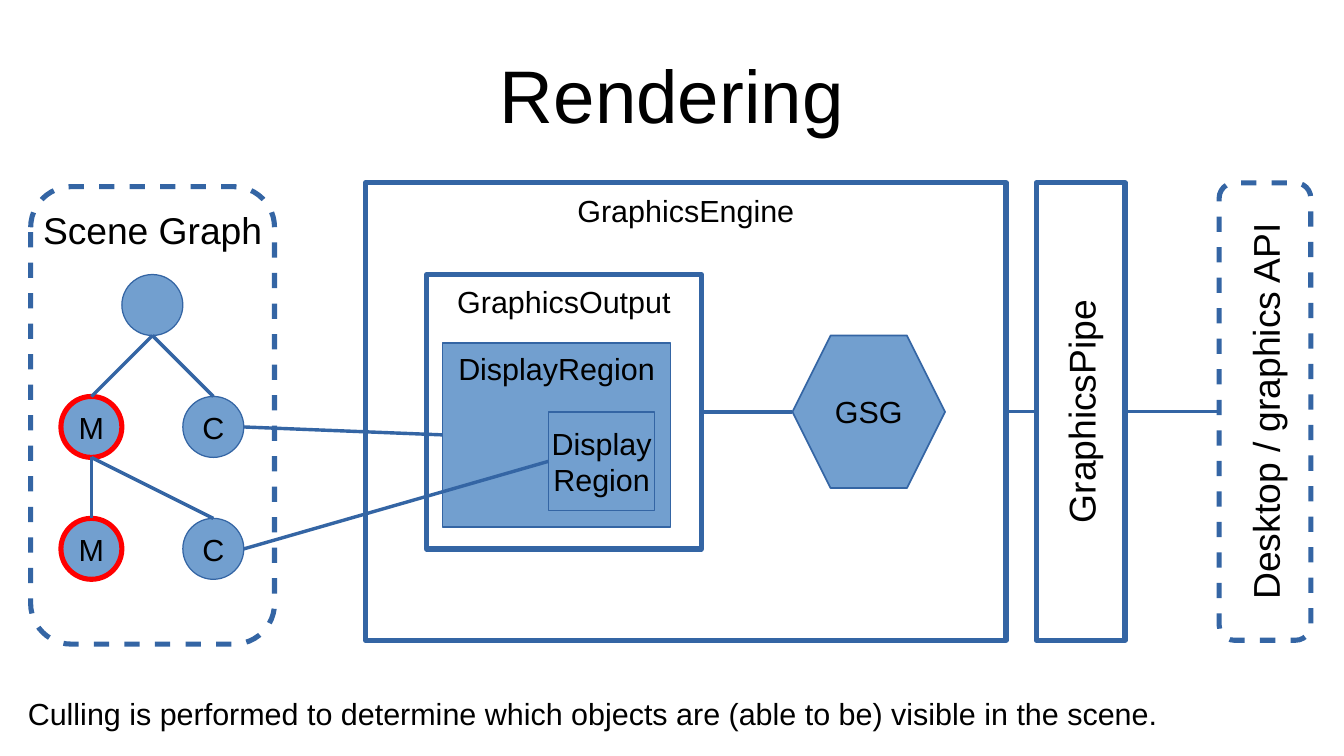
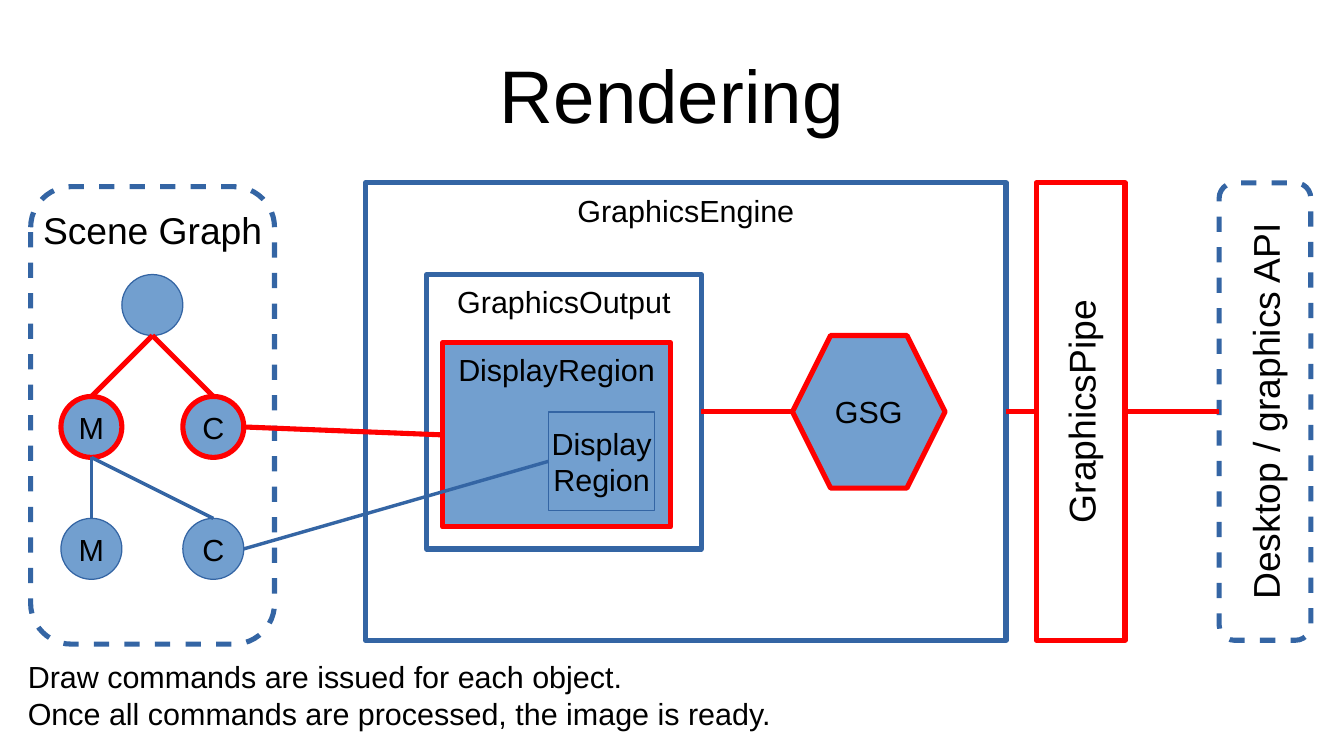
from dataclasses import dataclass

from lxml.etree import SubElement
from pptx import Presentation
from pptx.dml.color import RGBColor
from pptx.enum.shapes import MSO_CONNECTOR, MSO_SHAPE as Preset
from pptx.enum.text import MSO_ANCHOR as Anchor, MSO_AUTO_SIZE, PP_ALIGN as Align
from pptx.oxml.ns import qn
from pptx.util import Cm, Pt


@dataclass(frozen=True)
class Theme:
    font: str = "Arial"
    ink: RGBColor = RGBColor(0x00, 0x00, 0x00)
    paper: RGBColor = RGBColor(0xFF, 0xFF, 0xFF)
    blue: RGBColor = RGBColor(0x72, 0x9F, 0xCF)
    outline: RGBColor = RGBColor(0x34, 0x65, 0xA4)
    active: RGBColor = RGBColor(0xFF, 0x00, 0x00)
    title_size: int = 44
    heading_size: int = 22
    label_size: int = 18
    heavy: int = 3
    thin: int = 1
    hairline: int = 0


THEME = Theme()
TOP, LEFT, BOTTOM, RIGHT = range(4)
SIDE_POINT = {TOP: (0.5, 0), LEFT: (0, 0.5), BOTTOM: (0.5, 1), RIGHT: (1, 0.5)}
NOT_JOINED = (Preset.OVAL, Preset.HEXAGON)


def write_text(frame, text, *, size=THEME.label_size, align=Align.CENTER,
               anchor=Anchor.MIDDLE, margins=(0, 0), wrap=False):
    frame.auto_size = MSO_AUTO_SIZE.NONE
    frame.word_wrap = wrap
    frame.vertical_anchor = anchor
    frame.margin_left = frame.margin_right = margins[0]
    frame.margin_top = frame.margin_bottom = margins[1]
    frame.text = text
    for paragraph in frame.paragraphs:
        paragraph.alignment = align
        paragraph.font.name = THEME.font
        paragraph.font.size = Pt(size)
        paragraph.font.color.rgb = THEME.ink


class Deck:
    def __init__(self, theme):
        self.theme = theme
        self.show = Presentation()
        self.show.slide_width, self.show.slide_height = Cm(28), Cm(15.75)
        self.slide = None

    def new_slide(self, heading):
        self.slide = self.show.slides.add_slide(self.show.slide_layouts[5])
        title = self.slide.shapes.title
        title.left, title.top = Cm(1.4), Cm(0.63)
        title.width, title.height = Cm(25.2), Cm(2.64)
        write_text(title.text_frame, heading, size=self.theme.title_size, wrap=True)

    def box(self, preset, place, text="", *, fill, weight, active=False,
            dashed=False, upright=False, **text_format):
        shape = self.slide.shapes.add_shape(preset, *map(Cm, place))
        shape.shadow.inherit = False
        shape.fill.solid()
        shape.fill.fore_color.rgb = fill
        weight = self.theme.heavy if active else weight
        self.stroke(shape.line, weight, active)
        if dashed:
            dash = SubElement(shape.element.spPr.find(qn("a:ln")), qn("a:custDash"))
            SubElement(dash, qn("a:ds"), d="300000", sp="300000")
        if text:
            # Text keeps clear of the inner half of the outline
            margins = [Cm(gap) + Pt(weight) // 2 for gap in (0.25, 0.13)]
            write_text(shape.text_frame, text, margins=margins, wrap=upright, **text_format)
        if upright:
            shape.element.txBody.bodyPr.set("vert", "vert270")
        return shape

    def link(self, start, start_side, end, end_side, active=False):
        ends = []
        for shape, side in ((start, start_side), (end, end_side)):
            across, down = SIDE_POINT[side]
            ends += [int(shape.left + across * shape.width),
                     int(shape.top + down * shape.height)]
        line = self.slide.shapes.add_connector(MSO_CONNECTOR.STRAIGHT, *ends)
        if start.auto_shape_type not in NOT_JOINED:
            line.begin_connect(start, start_side)
        if end.auto_shape_type not in NOT_JOINED:
            line.end_connect(end, end_side)
        self.stroke(line.line, self.theme.heavy if active else self.theme.hairline, active)
        SubElement(line.element.spPr, qn("a:effectLst"))

    def stroke(self, line, weight, active):
        line.color.rgb = self.theme.active if active else self.theme.outline
        line.width = Pt(weight)

    def caption(self, text):
        note = self.slide.shapes.add_textbox(Cm(0.58), Cm(13.34), Cm(26.82), Cm(1.9))
        write_text(note.text_frame, text, align=Align.LEFT, anchor=Anchor.BOTTOM, wrap=True)


# Parts of the rendering pipeline: preset, place in cm, text, format
FRAME = dict(fill=THEME.paper, weight=THEME.heavy)
FILLED = dict(fill=THEME.blue, weight=THEME.thin)
HEADED = dict(anchor=Anchor.TOP)
LARGE = dict(size=THEME.heading_size)
PARTS = {
    "engine": (Preset.FLOWCHART_PROCESS, (7.62, 3.81, 13.34, 9.53),
               "GraphicsEngine", FRAME | HEADED),
    "scene": (Preset.FLOWCHART_ALTERNATE_PROCESS, (0.64, 3.89, 5.08, 9.53),
              "Scene Graph", FRAME | HEADED | LARGE | dict(dashed=True)),
    "output": (Preset.RECTANGLE, (8.89, 5.72, 5.72, 5.72),
               "GraphicsOutput", FRAME | HEADED),
    "region": (Preset.RECTANGLE, (9.22, 7.14, 4.75, 3.84),
               "DisplayRegion", FILLED | HEADED),
    "subregion": (Preset.RECTANGLE, (11.43, 8.58, 2.21, 2.06),
                  "Display\nRegion", FILLED),
    "pipe": (Preset.RECTANGLE, (21.59, 3.81, 1.85, 9.53),
             "GraphicsPipe", FRAME | LARGE | dict(upright=True)),
    "gsg": (Preset.HEXAGON, (16.51, 6.99, 3.18, 3.18), "GSG", FILLED),
    "desktop": (Preset.ROUNDED_RECTANGLE, (25.4, 3.81, 1.91, 9.53),
                "Desktop / graphics API",
                FRAME | LARGE | dict(upright=True, dashed=True)),
}

# Scene graph nodes: column, row, letter
NODE = 1.27
NODES = {"root": (1, 0, ""), "c2": (2, 2, "C"), "m2": (0, 2, "M"),
         "c1": (2, 1, "C"), "m1": (0, 1, "M")}
for node, (column, row, letter) in NODES.items():
    PARTS[node] = (Preset.OVAL,
                   (NODE * (1 + column), 5.72 + 2 * NODE * row, NODE, NODE),
                   letter, dict(fill=THEME.blue, weight=THEME.hairline))

LINKS = [
    ("root", BOTTOM, "m1", TOP),
    ("root", BOTTOM, "c1", TOP),
    ("m1", BOTTOM, "m2", TOP),
    ("m1", BOTTOM, "c2", TOP),
    ("c1", RIGHT, "region", LEFT),
    ("c2", RIGHT, "subregion", LEFT),
    ("engine", RIGHT, "pipe", LEFT),
    ("pipe", RIGHT, "desktop", LEFT),
    ("output", RIGHT, "gsg", LEFT),
]

# Steps: caption, highlighted parts, highlighted links
STEPS = [
    ("Culling is performed to determine which objects are (able to be) visible in the scene.",
     {"m1", "m2"}, set()),
    ("Draw commands are issued for each object.\n"
     "Once all commands are processed, the image is ready.",
     {"m1", "c1", "region", "gsg", "pipe"},
     {("root", "m1"), ("root", "c1"), ("c1", "region"), ("output", "gsg"),
      ("engine", "pipe"), ("pipe", "desktop")}),
]


def main():
    deck = Deck(THEME)
    for caption, active_parts, active_links in STEPS:
        deck.new_slide("Rendering")
        drawn = {name: deck.box(preset, place, text, active=name in active_parts, **style)
                 for name, (preset, place, text, style) in PARTS.items()}
        for start, start_side, end, end_side in LINKS:
            deck.link(drawn[start], start_side, drawn[end], end_side,
                      active=(start, end) in active_links)
        deck.caption(caption)
    deck.show.save("out.pptx")


if __name__ == "__main__":
    main()
